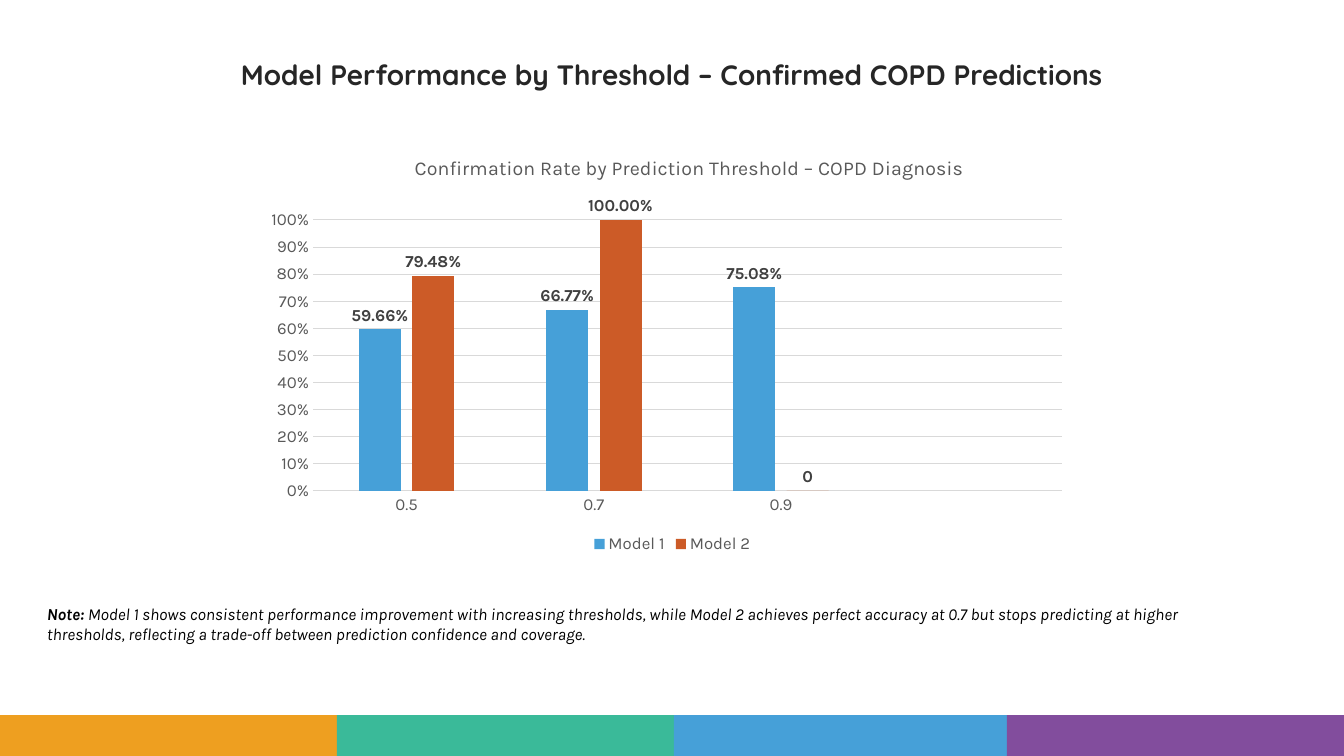
"""Build a slide comparing the confirmation rates of two COPD models."""
from dataclasses import dataclass

from lxml.etree import SubElement
from pptx import Presentation
from pptx.chart.data import CategoryChartData
from pptx.dml.color import RGBColor
from pptx.enum.chart import XL_CHART_TYPE, XL_LABEL_POSITION, XL_LEGEND_POSITION, XL_TICK_MARK
from pptx.enum.shapes import MSO_SHAPE
from pptx.enum.text import MSO_ANCHOR, PP_ALIGN
from pptx.oxml.ns import qn
from pptx.util import Pt

PX = 914400 / 100.8
WIDTH, HEIGHT = 1344, 756
BAND_TOP, BAND_WIDTH = 715, 337
CHART_WIDTH, CHART_HEIGHT = 857, 407
COLORS = {
    "orange": "EE9F20", "green": "3ABA99", "blue": "46A0D8", "purple": "824D9D",
    "rust": "CC5B27", "title": "262626", "black": "000000",
    "label": "404040", "axis": "595959", "grid": "D9D9D9",
}
BANDS = ("orange", "green", "blue", "purple")
THRESHOLDS = ("0.5", "0.7", "0.9", "")


@dataclass
class Model:
    name: str
    percents: tuple
    color: str


MODELS = (
    Model("Model 1", (59.66, 66.77, 75.08), "blue"),
    Model("Model 2", (79.48, 100, 0), "rust"),
)


def px(n: int) -> int:
    return round(n * PX)


def box(x: int, y: int, w: int, h: int) -> tuple:
    return px(x), px(y), px(w), px(h)


def rgb(name: str) -> RGBColor:
    return RGBColor.from_string(COLORS[name])


def set_font(font, size: float, color: str, name: str = "Karla",
             bold: bool = False, italic: bool = False) -> None:
    font.size, font.name, font.bold, font.italic = Pt(size), name, bold, italic
    font.color.rgb = rgb(color)


def add_run(p, text: str, **fmt) -> None:
    r = p.add_run()
    r.text = text
    set_font(r.font, **fmt)


def add_text(s, area: tuple, *runs: tuple, align=PP_ALIGN.LEFT,
             anchor=MSO_ANCHOR.TOP, spacing: float = 1.0) -> None:
    tf = s.shapes.add_textbox(*box(*area)).text_frame
    tf.word_wrap, tf.vertical_anchor = True, anchor
    p = tf.paragraphs[0]
    p.alignment, p.line_spacing = align, spacing
    for text, fmt in runs:
        add_run(p, text, **fmt)


def add_bands(s) -> None:
    for i, color in enumerate(BANDS):
        x = min(i * BAND_WIDTH, WIDTH - BAND_WIDTH)
        sp = s.shapes.add_shape(MSO_SHAPE.RECTANGLE,
                                *box(x, BAND_TOP, BAND_WIDTH, HEIGHT - BAND_TOP))
        sp.shadow.inherit = False
        sp.fill.solid()
        sp.fill.fore_color.rgb = rgb(color)
        sp.line.fill.background()


def set_layout(parent, index: int, modes: dict, **lengths: int) -> None:
    for old in parent.findall(qn("c:layout")):
        parent.remove(old)
    layout = SubElement(parent, qn("c:layout"))
    parent.insert(index, layout)
    manual = SubElement(layout, qn("c:manualLayout"))
    shares = {tag: n / (CHART_WIDTH if tag in "xw" else CHART_HEIGHT)
              for tag, n in lengths.items()}
    for tag, value in (modes | shares).items():
        SubElement(manual, qn(f"c:{tag}")).set("val", str(value))


def style_line(line) -> None:
    line.color.rgb = rgb("grid")
    line.width = Pt(0.75)


def add_zero_label(series, index: int) -> None:
    label = series.points[index].data_label
    set_font(label.font, 12, "label", bold=True)
    label.position = XL_LABEL_POSITION.OUTSIDE_END
    node = series.data_labels._element.find(qn("c:dLbl"))
    number_format = SubElement(node, qn("c:numFmt"))
    number_format.set("formatCode", "General")
    number_format.set("sourceLinked", "0")
    node.insert(1, number_format)


def add_rates_chart(s) -> None:
    data = CategoryChartData(number_format="0.00%")
    data.categories = THRESHOLDS
    for model in MODELS:
        data.add_series(model.name, [round(n / 100, 4) for n in model.percents] + [None])
    chart = s.shapes.add_chart(XL_CHART_TYPE.COLUMN_CLUSTERED,
                               *box(244, 151, CHART_WIDTH, CHART_HEIGHT), data).chart
    set_font(chart.font, 10, "black")

    title = chart.chart_title
    add_run(title.text_frame.paragraphs[0],
            "Confirmation Rate by Prediction Threshold – COPD Diagnosis",
            size=14, color="axis")
    title.include_in_layout = False
    edges = dict(xMode="edge", yMode="edge")
    set_layout(title._element, 1, edges, x=167, y=1)
    set_layout(chart._chartSpace.chart.plotArea, 0, dict(layoutTarget="inner") | edges,
               x=69, y=69, w=749, h=271)

    chart.has_legend = True
    chart.legend.position = XL_LEGEND_POSITION.BOTTOM
    chart.legend.include_in_layout = False
    set_font(chart.legend.font, 12, "axis")

    for axis in (chart.category_axis, chart.value_axis):
        axis.major_tick_mark = axis.minor_tick_mark = XL_TICK_MARK.NONE
        set_font(axis.tick_labels.font, 12, "axis")
    style_line(chart.category_axis.format.line)
    rate_axis = chart.value_axis
    rate_axis.minimum_scale, rate_axis.maximum_scale, rate_axis.major_unit = 0, 1, 0.1
    rate_axis.tick_labels.number_format = "0%"
    rate_axis.tick_labels.number_format_is_linked = False
    rate_axis.format.line.fill.background()
    style_line(rate_axis.major_gridlines.format.line)

    plot = chart.plots[0]
    plot.gap_width, plot.overlap, plot.vary_by_categories = 219, -27, False
    for series, model in zip(plot.series, MODELS):
        series.format.fill.solid()
        series.format.fill.fore_color.rgb = rgb(model.color)
        labels = series.data_labels
        labels.show_value = True
        labels.number_format = "0.00%"
        labels.number_format_is_linked = False
        labels.position = XL_LABEL_POSITION.OUTSIDE_END
        set_font(labels.font, 12, "label", bold=True)
        if 0 in model.percents:
            add_zero_label(series, model.percents.index(0))


def main() -> None:
    prs = Presentation()
    prs.slide_width, prs.slide_height = px(WIDTH), px(HEIGHT)
    s = prs.slides.add_slide(prs.slide_layouts[6])
    add_bands(s)
    add_text(s, (0, 23, WIDTH, 107),
             ("Model Performance by Threshold – Confirmed COPD Predictions",
              dict(size=20, color="title", name="Quicksand", bold=True)),
             align=PP_ALIGN.CENTER, anchor=MSO_ANCHOR.MIDDLE, spacing=0.9)
    add_rates_chart(s)
    note = dict(size=12, color="black", italic=True)
    add_text(s, (37, 599, 1230, 50), ("Note:", note | dict(bold=True)),
             (" Model 1 shows consistent performance improvement with increasing thresholds, "
              "while Model 2 achieves perfect accuracy at 0.7 but stops predicting at higher "
              "thresholds, reflecting a trade-off between prediction confidence and coverage.",
              note))
    prs.save("out.pptx")


if __name__ == "__main__":
    main()
